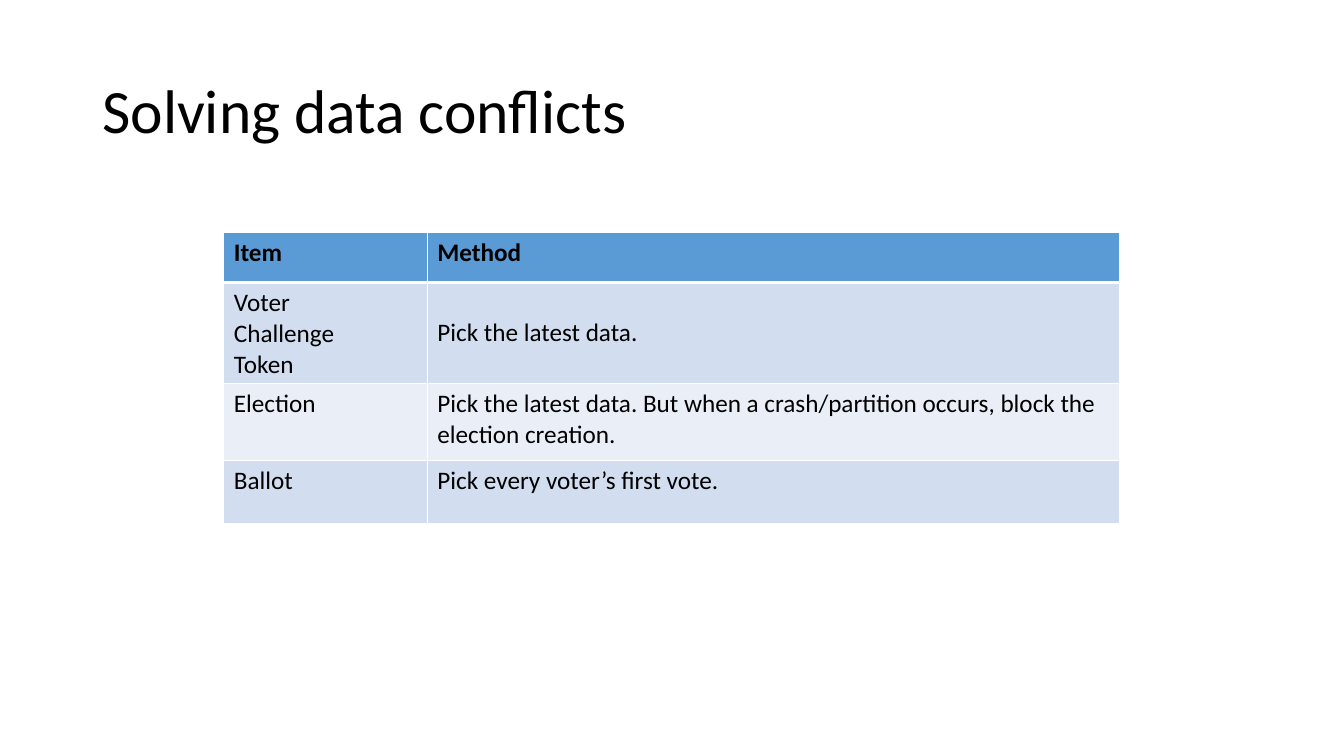
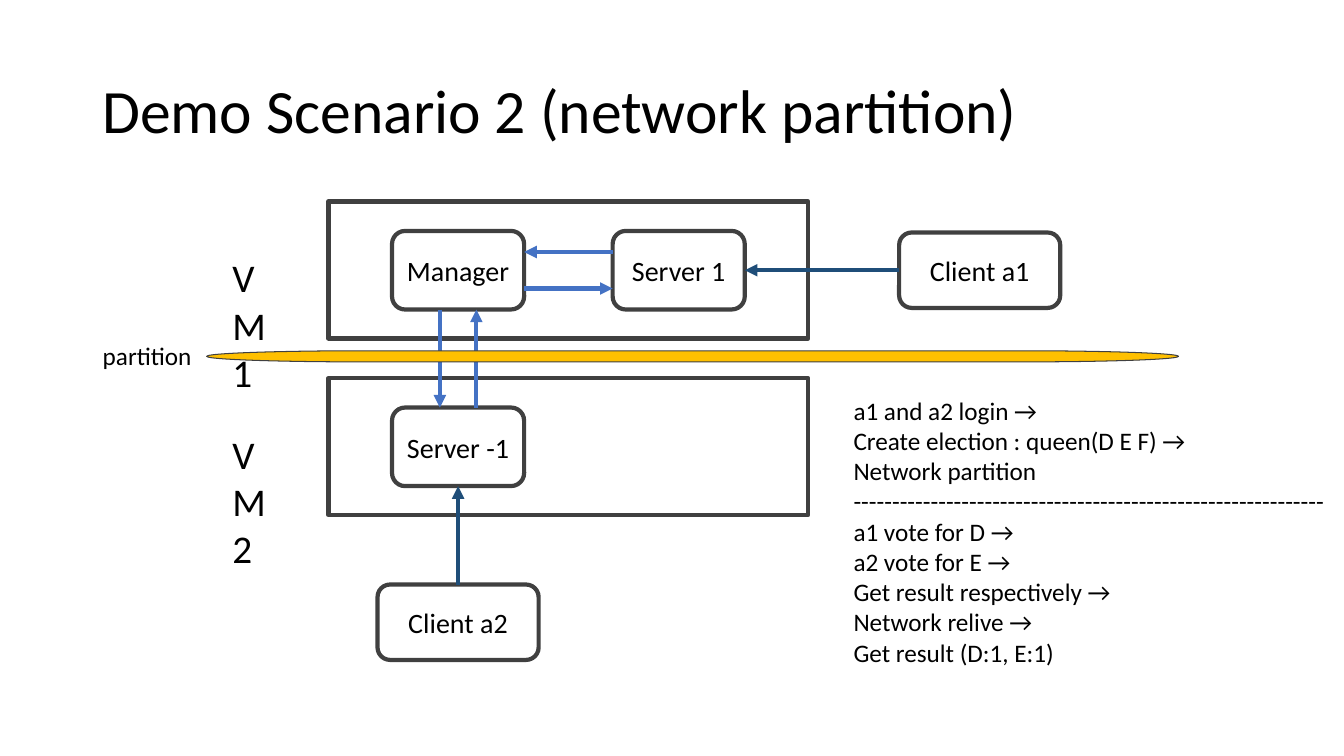
import dataclasses

import lxml.etree
import pptx
import pptx.dml.color
import pptx.enum.shapes
import pptx.enum.text
import pptx.oxml.ns
import pptx.util

Cm = pptx.util.Cm
Pt = pptx.util.Pt
Shape = pptx.enum.shapes.MSO_SHAPE
Anchor = pptx.enum.text.MSO_ANCHOR
Align = pptx.enum.text.PP_ALIGN
qn = pptx.oxml.ns.qn


@dataclasses.dataclass(frozen=True)
class Theme:
    font: str = "Calibri"
    text: str = "000000"
    paper: str = "FFFFFF"
    outline: str = "404040"
    server_link: str = "4472C4"
    client_link: str = "1F4E79"
    partition: str = "FFC000"
    header: str = "5B9BD5"
    bands: tuple = ("D2DEEF", "EAEFF7")
    title_size: int = 44
    machine_size: int = 28
    node_size: int = 20
    body_size: int = 18
    thick: float = 3
    thin: float = 0.75
    grid: float = 1


@dataclasses.dataclass(frozen=True)
class Area:
    """A rectangle in centimetres."""
    left: float
    top: float
    width: float
    height: float

    @property
    def right(self):
        return self.left + self.width

    @property
    def bottom(self):
        return self.top + self.height

    @property
    def middle_x(self):
        return self.left + self.width / 2

    @property
    def middle_y(self):
        return self.top + self.height / 2

    def lengths(self):
        return [Cm(value) for value in dataclasses.astuple(self)]


def rgb(color):
    return pptx.dml.color.RGBColor.from_string(color)


def set_all(target, values):
    for name, value in values.items():
        setattr(target, name, value)


class Deck:
    def __init__(self, theme):
        self.theme = theme
        self.deck = pptx.Presentation()
        set_all(self.deck, {"slide_width": Cm(33.87), "slide_height": Cm(19.05)})
        self.page = None

    def add_page(self, title):
        self.page = self.deck.slides.add_slide(self.deck.slide_layouts[6])
        self.text(Area(2.33, 1.01, 29.21, 3.68), title, self.theme.title_size,
                  Anchor.MIDDLE, line_spacing=0.9)

    def fill_text(self, frame, text, size, bold=False, **paragraph_format):
        """Fill a text frame, one paragraph per line of text."""
        for index, line in enumerate(text.split("\n")):
            para = frame.add_paragraph() if index else frame.paragraphs[0]
            set_all(para, paragraph_format)
            span = para.add_run()
            span.text = line
            set_all(span.font, {"name": self.theme.font, "size": Pt(size), "bold": bold})
            span.font.color.rgb = rgb(self.theme.text)

    def text(self, area, text, size, anchor=Anchor.TOP, **paragraph_format):
        frame = self.page.shapes.add_textbox(*area.lengths()).text_frame
        set_all(frame, {"word_wrap": True, "vertical_anchor": anchor})
        self.fill_text(frame, text, size, **paragraph_format)

    def shape(self, kind, area, fill, line_width):
        shape = self.page.shapes.add_shape(kind, *area.lengths())
        shape.shadow.inherit = False
        shape.fill.solid()
        shape.fill.fore_color.rgb = rgb(fill)
        shape.line.color.rgb = rgb(self.theme.outline)
        shape.line.width = Pt(line_width)
        return shape

    def node(self, area, label):
        box = self.shape(Shape.ROUNDED_RECTANGLE, area, self.theme.paper, self.theme.thick)
        set_all(box.text_frame, {"word_wrap": True, "vertical_anchor": Anchor.MIDDLE,
                                 "margin_left": Cm(0.1), "margin_right": Cm(0.1)})
        self.fill_text(box.text_frame, label, self.theme.node_size, alignment=Align.CENTER)

    def arrow(self, start, end, color):
        arrow = self.page.shapes.add_connector(
            pptx.enum.shapes.MSO_CONNECTOR.STRAIGHT, *map(Cm, start + end))
        arrow.line.color.rgb = rgb(color)
        arrow.line.width = Pt(self.theme.thick)
        properties = arrow._element.spPr
        lxml.etree.SubElement(properties.find(qn("a:ln")), qn("a:tailEnd"), type="triangle")
        lxml.etree.SubElement(properties, qn("a:effectLst"))

    def cell_borders(self, cell, top, bottom):
        widths = {"L": self.theme.grid, "R": self.theme.grid, "T": top, "B": bottom}
        properties = cell._tc.get_or_add_tcPr()
        for index, (side, width) in enumerate(widths.items()):
            line = lxml.etree.Element(qn(f"a:ln{side}"), w=str(int(Pt(width))))
            fill = lxml.etree.SubElement(line, qn("a:solidFill"))
            lxml.etree.SubElement(fill, qn("a:srgbClr"), val=self.theme.paper)
            properties.insert(index, line)

    def table(self, left, top, widths, heights, rows):
        theme = self.theme
        area = Area(left, top, sum(widths), sum(heights))
        table = self.page.shapes.add_table(len(rows), len(widths), *area.lengths()).table
        set_all(table, {"first_row": False, "horz_banding": False})
        for column, width in zip(table.columns, widths):
            column.width = Cm(width)
        for index, (row, height, texts) in enumerate(zip(table.rows, heights, rows)):
            row.height = Cm(height)
            is_header = index == 0
            color = theme.header if is_header else theme.bands[(index - 1) % 2]
            for cell, text in zip(row.cells, texts):
                self.cell_borders(cell, theme.thick if index == 1 else theme.grid,
                                  theme.thick if is_header else theme.grid)
                cell.fill.solid()
                cell.fill.fore_color.rgb = rgb(color)
                self.fill_text(cell.text_frame, text, theme.body_size, bold=is_header)
        return table


def add_conflicts_page(deck):
    deck.add_page("Solving data conflicts")
    table = deck.table(5.64, 5.85, [5.13, 17.45], [1.27, 2.41, 1.94, 1.6], [
        ("Item", "Method"),
        ("Voter\nChallenge\nToken", "Pick the latest data."),
        ("Election", "Pick the latest data. But when a crash/partition occurs, "
                     "block the election creation."),
        ("Ballot", "Pick every voter’s first vote."),
    ])
    table.cell(1, 1).vertical_anchor = Anchor.MIDDLE


def add_partition_page(deck):
    theme = deck.theme
    deck.add_page("Demo Scenario 2 (network partition)")

    machine_top, machine_pitch = 5.08, 4.45
    for index, label in enumerate(["VM1", "VM2"]):
        top = machine_top + index * machine_pitch
        deck.shape(Shape.RECTANGLE, Area(8.28, top, 12.09, 3.45), theme.paper, theme.thick)
        deck.text(Area(5.61, top + 1.19, 1.78, 1.07), label, theme.machine_size)

    manager = Area(9.88, machine_top + 0.74, 3.33, 1.98)
    server = dataclasses.replace(manager, left=15.44)
    backup = dataclasses.replace(manager, top=manager.top + machine_pitch)
    client_width, client_height = 4.06, 1.9
    client_1 = Area(22.66, manager.middle_y - client_height / 2, client_width, client_height)
    client_2 = Area(manager.middle_x - client_width / 2, 14.73, client_width, client_height)
    for area, label in [(manager, "Manager"), (server, "Server 1"), (backup, "Server -1"),
                        (client_1, "Client a1"), (client_2, "Client a2")]:
        deck.node(area, label)

    offset = 0.46
    x, y = manager.middle_x, manager.middle_y
    for start, end, color in [
        ((server.left, y - offset), (manager.right, y - offset), theme.server_link),
        ((manager.right, y + offset), (server.left, y + offset), theme.server_link),
        ((x + offset, backup.top), (x + offset, manager.bottom), theme.server_link),
        ((x - offset, manager.bottom), (x - offset, backup.top), theme.server_link),
        ((x, client_2.top), (x, backup.bottom), theme.client_link),
        ((client_1.left, y), (server.right, y), theme.client_link),
    ]:
        deck.arrow(start, end, color)

    steps = ["a1 and a2 login →", "Create election : queen(D E F) →", "Network partition",
             "-" * 61, "a1 vote for D →", "a2 vote for E →", "Get result respectively →",
             "Network relive →", "Get result (D:1, E:1)"]
    deck.text(Area(21.26, 9.83, 12.62, 7.19), "\n".join(steps), theme.body_size)
    deck.shape(Shape.FLOWCHART_TERMINATOR, Area(5.21, 8.84, 24.49, 0.28),
               theme.partition, theme.thin)
    deck.text(Area(2.34, 8.46, 2.87, 1.02), "partition", theme.body_size)


def main():
    deck = Deck(Theme())
    add_conflicts_page(deck)
    add_partition_page(deck)
    deck.deck.save("out.pptx")


if __name__ == "__main__":
    main()
